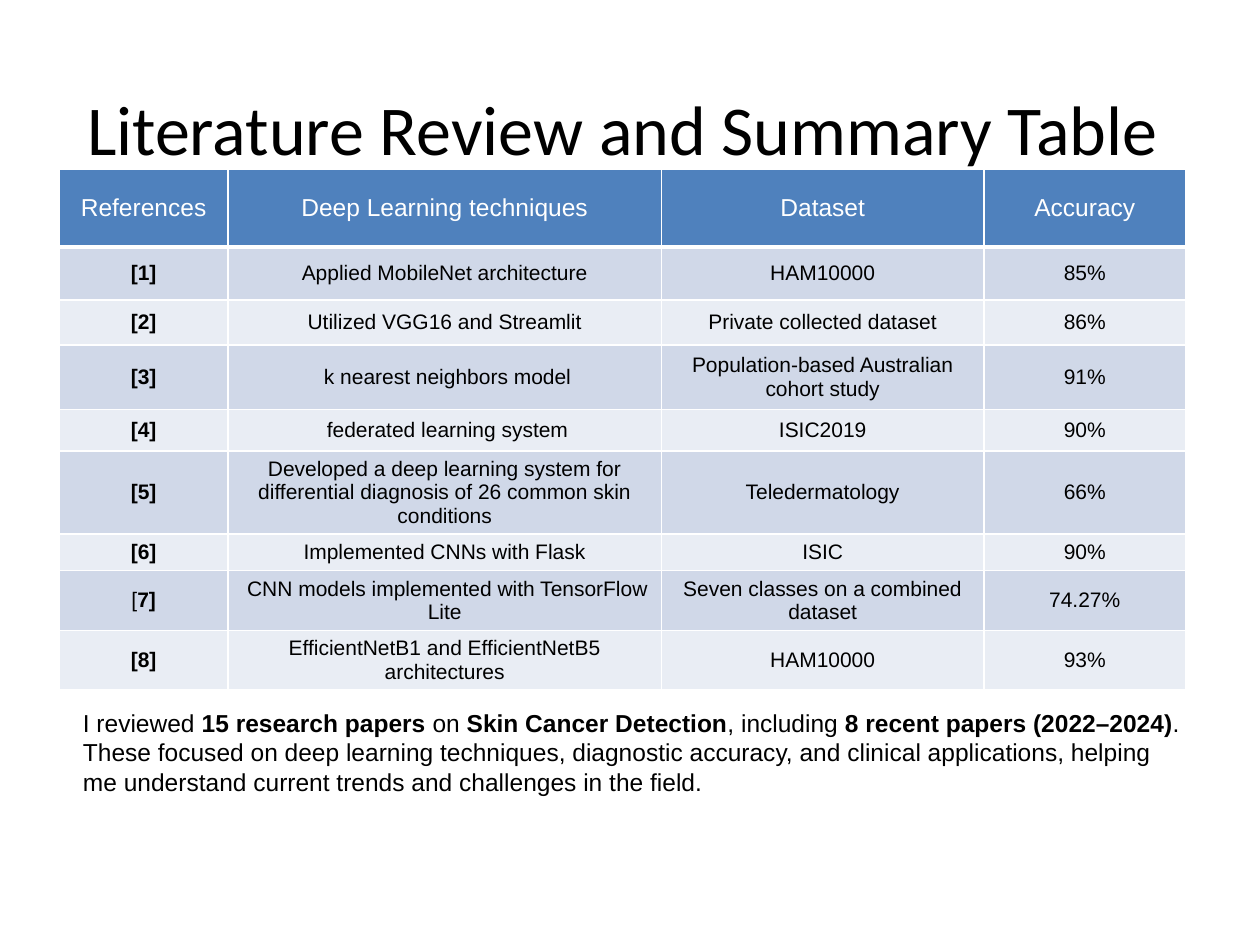
from lxml.etree import SubElement
from pptx import Presentation
from pptx.dml.color import RGBColor as Color
from pptx.enum.text import MSO_ANCHOR as Anchor, MSO_AUTO_SIZE as AutoSize, PP_ALIGN as Align
from pptx.oxml.ns import qn
from pptx.util import Inches, Pt

COLORS = {
    "ink": "000000",
    "white": "FFFFFF",
    "header": "4F81BD",
    "odd": "D0D8E8",
    "even": "E9EDF4",
}
COLUMN_WIDTHS = [1.34, 3.44, 2.56, 1.6]
ROW_HEIGHTS = [0.62, 0.42, 0.36, 0.51, 0.33, 0.66, 0.29, 0.47, 0.47]
PAPERS = [
    ("References", "Deep Learning techniques", "Dataset", "Accuracy"),
    ("**[1]**", "Applied MobileNet architecture", "HAM10000", "85%"),
    ("**[2]**", "Utilized VGG16 and Streamlit", "Private collected dataset", "86%"),
    ("**[3]**", " k nearest neighbors model", "Population-based Australian cohort study", "91%"),
    ("**[4]**", " federated learning system", "ISIC2019", "90%"),
    ("**[5]**", "Developed a deep learning system for differential diagnosis of 26 common "
     "skin conditions", "Teledermatology", "66%"),
    ("**[6]**", "Implemented CNNs with Flask", "ISIC", "90%"),
    ("[**7]**", " CNN models implemented with TensorFlow Lite",
     "Seven classes on a combined dataset", "74.27%"),
    ("**[8]**", "EfficientNetB1 and EfficientNetB5 architectures", "HAM10000", "93%"),
]
SUMMARY = (
    "I reviewed **15 research papers** on **Skin Cancer Detection**, including "
    "**8 recent papers (2022–2024)**. These focused on deep learning techniques, "
    "diagnostic accuracy, and clinical applications, helping me understand current "
    "trends and challenges in the field."
)


class SlideBuilder:
    def __init__(self, deck, font="Arial"):
        self.font = font
        self.page = deck.slides.add_slide(deck.slide_layouts[5])

    def add_spans(self, para, text, size, color="ink", font=None):
        for index, part in enumerate(text.split("**")):
            if not part:
                continue
            span = para.add_run()
            span.text = part
            style = {"name": font or self.font, "size": Pt(size), "bold": index % 2 == 1}
            for name, value in style.items():
                setattr(span.font, name, value)
            span.font.color.rgb = Color.from_string(COLORS[color])

    def title(self, text, left, top, width, height):
        box = self.page.shapes.title
        place = {"left": left, "top": top, "width": width, "height": height}
        for name, value in place.items():
            setattr(box, name, Inches(value))
        box.text_frame.vertical_anchor = Anchor.MIDDLE
        para = box.text_frame.paragraphs[0]
        para.alignment = Align.CENTER
        self.add_spans(para, text, 40, font="Calibri")

    def borders(self, cell, bottom):
        properties = cell._tc.get_or_add_tcPr()
        for side, width in {"L": 1, "R": 1, "T": 1, "B": bottom}.items():
            line = SubElement(properties, qn(f"a:ln{side}"), w=str(Pt(width)))
            fill = SubElement(line, qn("a:solidFill"))
            SubElement(fill, qn("a:srgbClr"), val=COLORS["white"])

    def cell(self, cell, text, is_header, fill):
        self.borders(cell, 3 if is_header else 1)
        cell.fill.solid()
        cell.fill.fore_color.rgb = Color.from_string(COLORS[fill])
        cell.vertical_anchor = Anchor.MIDDLE
        para = cell.text_frame.paragraphs[0]
        para.alignment = Align.CENTER
        self.add_spans(para, text, 14 if is_header else 12, "white" if is_header else "ink")

    def table(self, rows, widths, heights, left, top):
        table = self.page.shapes.add_table(
            len(rows), len(widths), Inches(left), Inches(top),
            Inches(sum(widths)), Inches(sum(heights)),
        ).table
        for column, width in zip(table.columns, widths):
            column.width = Inches(width)
        for row, height in zip(table.rows, heights):
            row.height = Inches(height)
        for index, (row, texts) in enumerate(zip(table.rows, rows)):
            fill = "header" if index == 0 else "odd" if index % 2 else "even"
            for cell, text in zip(row.cells, texts):
                self.cell(cell, text, index == 0, fill)

    def text(self, text, left, top, width, height):
        box = self.page.shapes.add_textbox(*map(Inches, (left, top, width, height)))
        frame = box.text_frame
        for name, value in {"word_wrap": True, "auto_size": AutoSize.SHAPE_TO_FIT_TEXT}.items():
            setattr(frame, name, value)
        self.add_spans(frame.paragraphs[0], text, 14)


def main():
    deck = Presentation()
    deck.slide_width, deck.slide_height = Inches(10), Inches(7.5)
    builder = SlideBuilder(deck)
    builder.title("Literature Review and Summary Table", 0.44, 0.39, 9, 1.25)
    builder.table(PAPERS, COLUMN_WIDTHS, ROW_HEIGHTS, 0.47, 1.34)
    builder.text(SUMMARY, 0.56, 5.57, 9, 0.81)
    deck.save("out.pptx")


if __name__ == "__main__":
    main()
